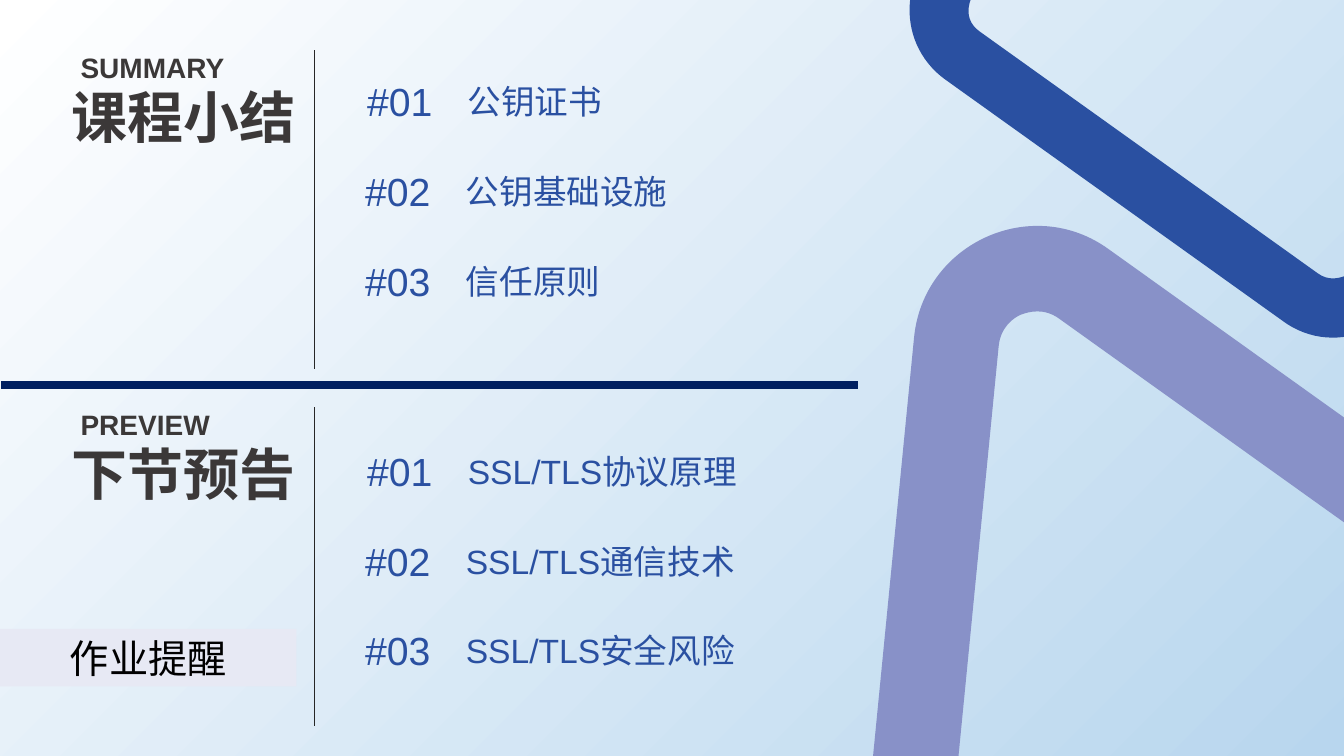
from math import cos, radians, sin

from lxml.etree import SubElement
from pptx import Presentation
from pptx.dml.color import RGBColor
from pptx.enum.shapes import MSO_CONNECTOR as Connector, MSO_SHAPE as Preset
from pptx.enum.text import MSO_ANCHOR as Anchor, MSO_AUTO_SIZE as AutoSize, PP_ALIGN as Align
from pptx.oxml.ns import qn
from pptx.util import Cm, Pt

WHITE = RGBColor(0xFF, 0xFF, 0xFF)
SKY = RGBColor(0xB8, 0xD6, 0xEE)
BLUE = RGBColor(0x2A, 0x50, 0xA1)
VIOLET = RGBColor(0x88, 0x91, 0xC8)
NAVY = RGBColor(0x00, 0x1F, 0x60)
CHARCOAL = RGBColor(0x3B, 0x38, 0x38)
RULE_GREY = RGBColor(0x26, 0x26, 0x26)
PALE_LILAC = RGBColor(0xE7, 0xE9, 0xF4)
BLACK = RGBColor(0, 0, 0)

SLIDE_WIDTH, SLIDE_HEIGHT = Cm(33.87), Cm(19.05)

# Rounded corners as cubic curves around the centre of the loop, drawn at
# LOOP_TILT degrees; straight sides join them.
LOOP_TILT = 215.6
LOOP_WIDTH, LOOP_HEIGHT = 9.02, 7.6
OUTER_CORNERS = [
    [(-2.72, 1.98), (-2.76, 2.45), (-2.54, 2.86), (-2.21, 3.1)],
    [(-2.21, 3.1), (-1.87, 3.34), (-1.42, 3.42), (-0.99, 3.22)],
    [(4.43, 0.76), (5.29, 0.36), (5.4, -0.81), (4.63, -1.36)],
    [(-0.21, -4.82), (-0.97, -5.37), (-2.05, -4.88), (-2.14, -3.94)],
]
INNER_CORNERS = [
    [(-1.08, -4.17), (-1, -4.2), (-0.85, -4.24), (-0.7, -4.13)],
    [(4.14, -0.67), (4.3, -0.56), (4.31, -0.41), (4.3, -0.33)],
    [(4.3, -0.33), (4.29, -0.24), (4.25, -0.09), (4.08, -0.01)],
    [(-1.34, 2.45), (-1.51, 2.53), (-1.65, 2.46), (-1.72, 2.41)],
    [(-1.72, 2.41), (-1.78, 2.36), (-1.9, 2.26), (-1.88, 2.06)],
    [(-1.3, -3.86), (-1.28, -4.05), (-1.15, -4.14), (-1.08, -4.17)],
]

# English title, Chinese title, top, top of the first item, items
SECTIONS = [
    ("SUMMARY", "课程小结", 1.27, 1.96, ["公钥证书", "公钥基础设施", "信任原则"]),
    ("PREVIEW", "下节预告", 10.26, 11.27,
     ["SSL/TLS协议原理", "SSL/TLS通信技术", "SSL/TLS安全风险"]),
]
ITEM_STEP = 2.26


def write_text(shape, text, *, size, color, font="Arial", bold=False,
               align=Align.LEFT):
    paragraph = shape.text_frame.paragraphs[0]
    paragraph.alignment = align
    run = paragraph.add_run()
    run.text = text
    run.font.size = Pt(size)
    run.font.bold = bold
    run.font.color.rgb = color
    run.font.name = font
    east_asian = SubElement(run.font._element, qn("a:ea"))
    east_asian.set("typeface", "Arial")


def add_label(slide, text, left, top, width, height, **text_format):
    """Add a one-line text box without margins."""
    box = slide.shapes.add_textbox(Cm(left), Cm(top), Cm(width), Cm(height))
    frame = box.text_frame
    frame.word_wrap = False
    frame.auto_size = AutoSize.NONE
    frame.vertical_anchor = Anchor.TOP
    frame.margin_left = frame.margin_right = 0
    frame.margin_top = frame.margin_bottom = 0
    write_text(box, text, **text_format)


def add_rule(slide, start, end, color, width):
    line = slide.shapes.add_connector(
        Connector.STRAIGHT, *map(Cm, start), *map(Cm, end))
    line.line.color.rgb = color
    line.line.width = Pt(width)
    SubElement(line._element.spPr, qn("a:effectLst"))


def fill_plain(shape, color):
    shape.shadow.inherit = False
    shape.fill.solid()
    shape.fill.fore_color.rgb = color
    shape.line.fill.background()


def add_rounded_loop(slide, center, scale, rotation, color):
    """Add the triangular band; scale is in cm per unit of the corner points."""
    width, height = Cm(LOOP_WIDTH * scale), Cm(LOOP_HEIGHT * scale)
    left, top = Cm(center[0]) - width // 2, Cm(center[1]) - height // 2
    builder = slide.shapes.build_freeform(left, top)
    builder.add_line_segments([(left + width, top + height)])
    loop = builder.convert_to_shape()
    outline = loop._element.spPr.find(".//" + qn("a:path"))
    for segment in list(outline):
        outline.remove(segment)

    cosine, sine = cos(radians(LOOP_TILT)), sin(radians(LOOP_TILT))

    def add_segment(tag, points=()):
        segment = SubElement(outline, qn(tag))
        for x, y in points:
            point = SubElement(segment, qn("a:pt"))
            point.set("x", str(width // 2 + Cm(scale * (x * cosine + y * sine))))
            point.set("y", str(height // 2 + Cm(scale * (y * cosine - x * sine))))

    for corners in (OUTER_CORNERS, INNER_CORNERS):
        add_segment("a:moveTo", corners[0][:1])
        current = corners[0][0]
        for start, *curve in corners:
            if start != current:
                add_segment("a:lnTo", [start])
            add_segment("a:cubicBezTo", curve)
            current = curve[-1]
        add_segment("a:close")
    fill_plain(loop, color)
    loop.rotation = rotation


def add_heading(slide, english, chinese, top):
    add_label(slide, chinese, 1.8, top + 0.82, 3.58, 2.13,
              size=40, color=CHARCOAL, bold=True)
    add_label(slide, english, 2.03, top, 4.4, 0.86,
              size=20, color=CHARCOAL, bold=True)
    add_rule(slide, (7.93, top), (7.93, top + 8.03), RULE_GREY, 0.5)


def add_items(slide, first_top, items):
    for index, item in enumerate(items):
        left = 9.2 if index else 9.25
        top = first_top + index * ITEM_STEP
        add_label(slide, item, left + 2.54, top + 0.09, 8.56, 1.27,
                  size=24, color=BLUE)
        add_label(slide, f"#{index + 1:02}", left, top, 2.08, 1.5,
                  size=28, color=BLUE)


def add_reminder(slide, text):
    band = slide.shapes.add_shape(
        Preset.RECTANGLE, 0, Cm(15.85), Cm(7.47), Cm(1.45))
    fill_plain(band, PALE_LILAC)
    band.text_frame.auto_size = AutoSize.SHAPE_TO_FIT_TEXT
    band.text_frame.vertical_anchor = Anchor.MIDDLE
    write_text(band, text, size=28, color=BLACK, font="Times New Roman",
               align=Align.CENTER)


def add_backdrop(slide):
    backdrop = slide.shapes.add_shape(
        Preset.RECTANGLE, 0, 0, SLIDE_WIDTH, SLIDE_HEIGHT)
    backdrop.shadow.inherit = False
    backdrop.line.fill.background()
    fill = backdrop.fill
    fill.gradient()
    fill.gradient_angle = 315
    for stop, color, position in zip(fill.gradient_stops, (WHITE, SKY), (0, 1)):
        stop.color.rgb = color
        stop.position = position


def main():
    presentation = Presentation()
    presentation.slide_width = SLIDE_WIDTH
    presentation.slide_height = SLIDE_HEIGHT
    slide = presentation.slides.add_slide(presentation.slide_layouts[6])
    add_backdrop(slide)
    add_rounded_loop(slide, (31.98, -0.38), 1.76, LOOP_TILT - 180, BLUE)
    add_rounded_loop(slide, (28.47, 18.52), 2.54, LOOP_TILT, VIOLET)
    for english, chinese, top, _, _ in SECTIONS:
        add_heading(slide, english, chinese, top)
    add_rule(slide, (0.03, 9.7), (21.62, 9.7), NAVY, 6)
    add_reminder(slide, "作业提醒")
    for _, _, _, first_top, items in SECTIONS:
        add_items(slide, first_top, items)
    presentation.save("out.pptx")


if __name__ == "__main__":
    main()
